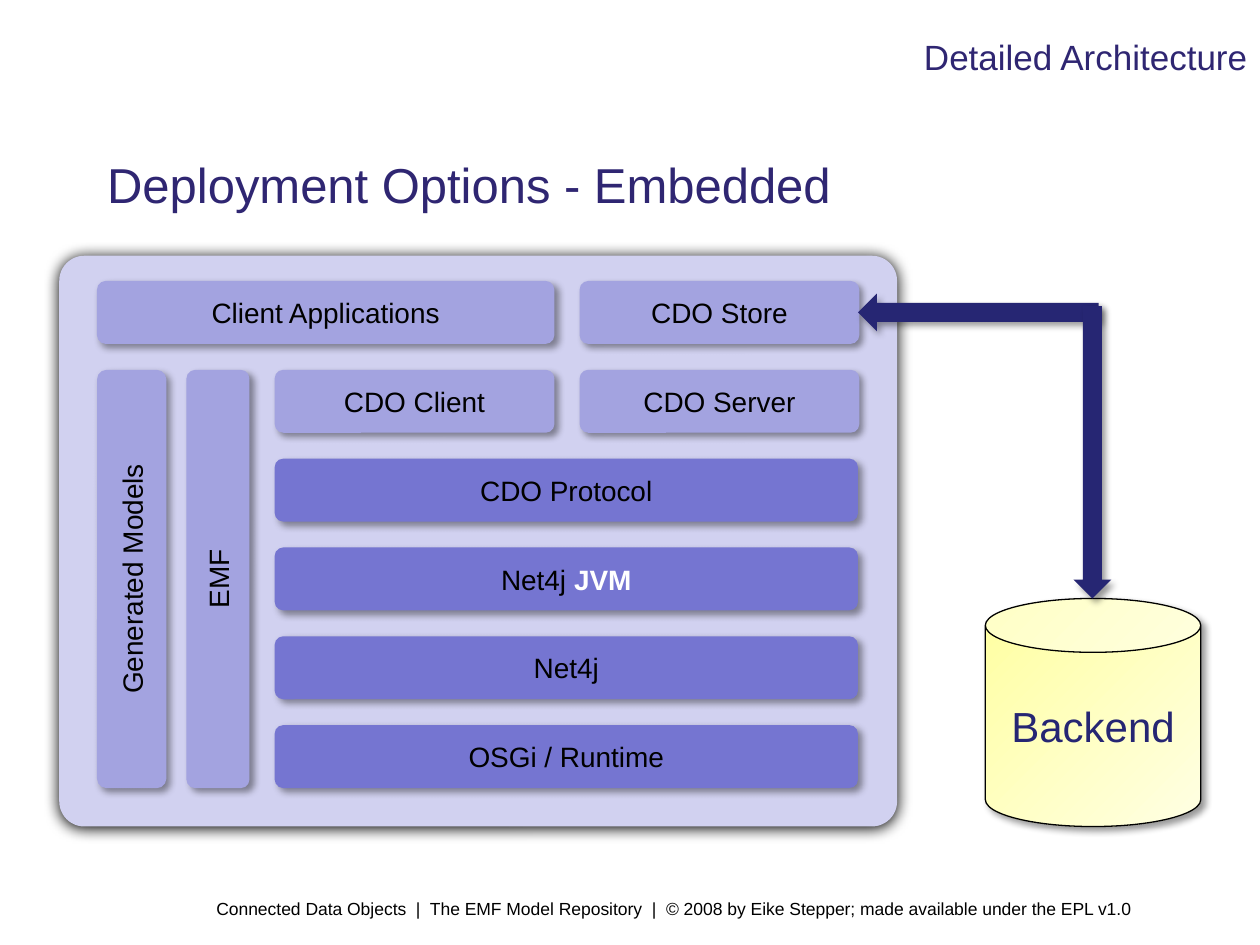
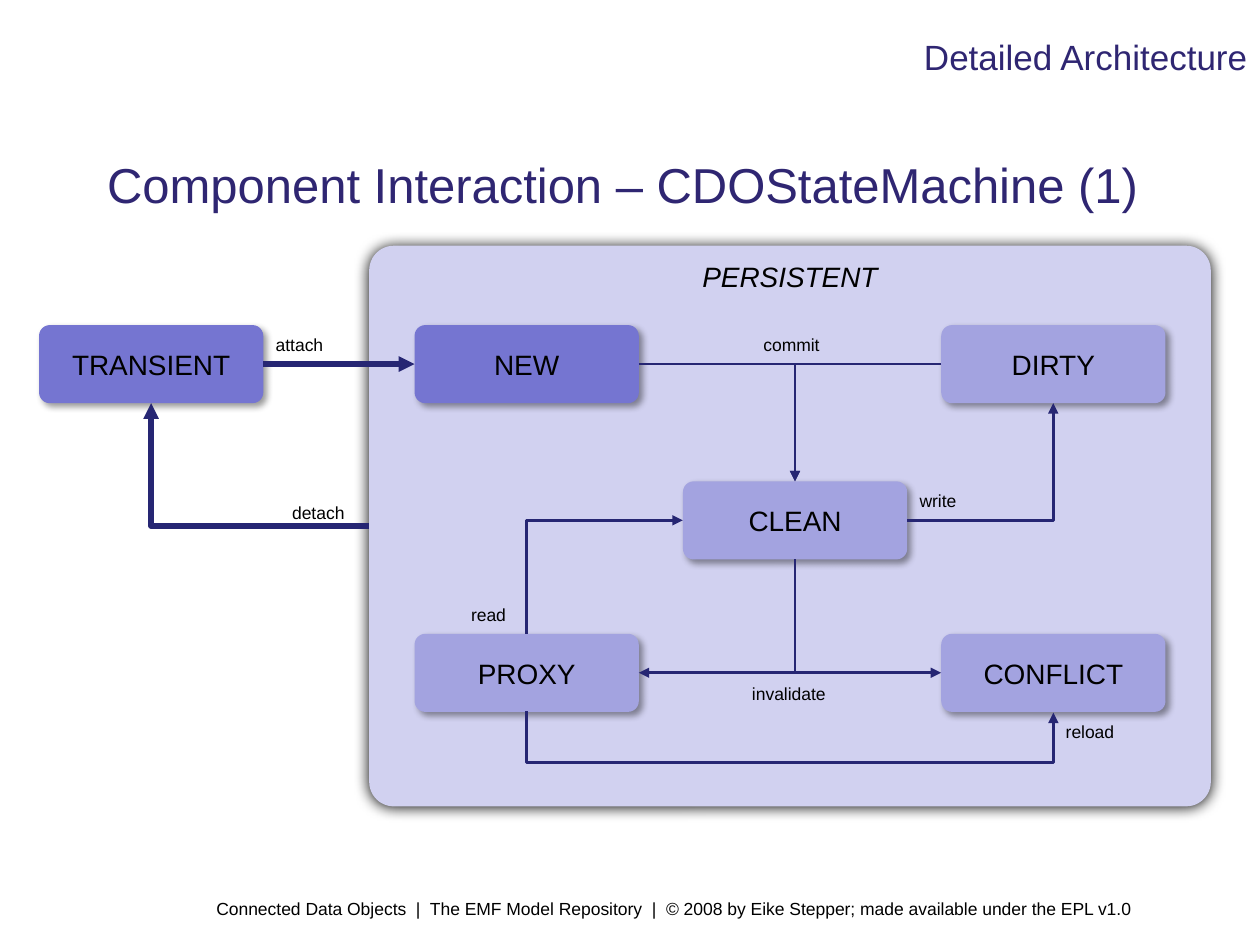
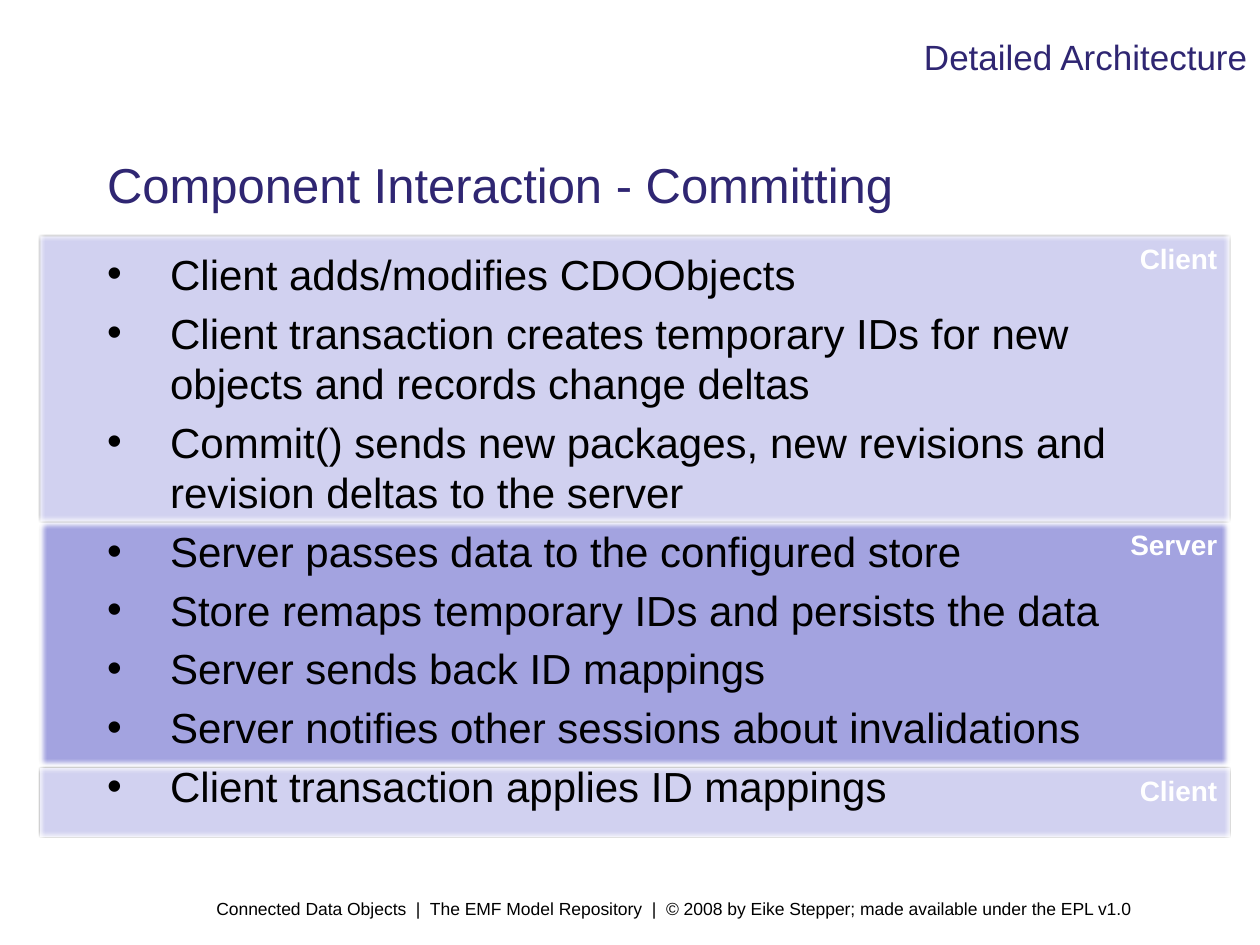
"""Build three slides on deployment, object states and committing."""
from lxml.etree import SubElement
from pptx import Presentation
from pptx.dml.color import RGBColor
from pptx.enum.shapes import MSO_CONNECTOR, MSO_SHAPE
from pptx.enum.text import MSO_ANCHOR, MSO_AUTO_SIZE, PP_ALIGN
from pptx.oxml import parse_xml
from pptx.oxml.ns import nsdecls, qn
from pptx.util import Inches, Pt

COLORS = {
    "title": "2F2672", "arrow": "262673", "text": "000000", "white": "FFFFFF",
    "panel": "D1D1F0", "light": "A3A3E0", "strong": "7575D1",
    "can_start": "FFFFA0", "can_end": "FFFFE3",
}
SHADOW = ('<a:outerShdw %s blurRad="{}" dist="{}" dir="{}" algn="tl" rotWithShape="0">'
          '<a:srgbClr val="000000"><a:alpha val="{}"/></a:srgbClr></a:outerShdw>' % nsdecls("a"))
EFFECTS = {
    "panel": SHADOW.format(Pt(8.5), Pt(1), 5400000, 100000),
    "block": SHADOW.format(Pt(4), Pt(3), 2700000, 40000),
    "soft": '<a:softEdge %s rad="%d"/>' % (nsdecls("a"), Pt(2.5)),
}
FOOTER = (" Connected Data Objects  |  The EMF Model Repository  |  "
          "© 2008 by Eike Stepper; made available under the EPL v1.0")


def write(shape, text, size=16, color="text", align=PP_ALIGN.CENTER, anchor=MSO_ANCHOR.MIDDLE,
          bold=None, italic=None, wrap=True):
    """Set the text of a shape and format all of its runs."""
    frame = shape.text_frame
    frame.text = text
    frame.word_wrap = wrap
    frame.auto_size = MSO_AUTO_SIZE.NONE
    frame.vertical_anchor = anchor
    for para in frame.paragraphs:
        para.alignment = align
        for span in para.runs:
            span.font.name = "Arial"
            span.font.size = Pt(size)
            span.font.bold = bold
            span.font.italic = italic
            span.font.color.rgb = RGBColor.from_string(COLORS[color])


def add_block(slide, kind, left, top, width, height, fill, effect="block", rounding=0.138):
    """Add a filled shape without outline and with one effect."""
    box = slide.shapes.add_shape(kind, Inches(left), Inches(top), Inches(width), Inches(height))
    if kind == MSO_SHAPE.ROUNDED_RECTANGLE:
        box.adjustments[0] = rounding
    box.fill.solid()
    box.fill.fore_color.rgb = RGBColor.from_string(COLORS[fill])
    box.line.fill.background()
    box.shadow.inherit = False
    box._element.spPr.find(qn("a:effectLst")).append(parse_xml(EFFECTS[effect]))
    return box


deck = Presentation()
deck.slide_width, deck.slide_height = Inches(10), Inches(7.5)
ROUNDED = MSO_SHAPE.ROUNDED_RECTANGLE

slides = []
for heading, layout in [("Deployment Options - Embedded", 5),
                        ("Component Interaction – CDOStateMachine (1)", 5),
                        ("Component Interaction - Committing", 1)]:
    slide = deck.slides.add_slide(deck.slide_layouts[layout])
    title = slide.shapes.title
    title.left, title.top, title.width, title.height = map(Inches, (0.75, 1.17, 8.5, 0.58))
    write(title, heading, 28, "title", PP_ALIGN.LEFT)
    chapter = slide.shapes.add_textbox(*map(Inches, (3.83, 0.16, 6.17, 0.58)))
    write(chapter, "Detailed Architecture", 20, "title", PP_ALIGN.RIGHT)
    footer = slide.shapes.add_textbox(*map(Inches, (1.58, 7.08, 8.42, 0.27)))
    write(footer, FOOTER, 10, align=PP_ALIGN.LEFT, anchor=MSO_ANCHOR.TOP)
    slides.append(slide)
deployment, states, committing = slides

add_block(deployment, ROUNDED, 0.47, 2.03, 6.65, 4.53, "panel", "panel", 0.044)
FIRST_ROW, ROW_STEP, ROW_HEIGHT = 2.23, 0.705, 0.5
MODELS, EMF, CLIENT, SERVER = 0.77, 1.48, 2.18, 4.6
HALF, FULL = 2.22, 4.63
layers = [
    ("Client Applications", MODELS, 0, 3.63, "light"),
    ("CDO Store", SERVER, 0, HALF, "light"),
    ("CDO Client", CLIENT, 1, HALF, "light"),
    ("CDO Server", SERVER, 1, HALF, "light"),
    ("CDO Protocol", CLIENT, 2, FULL, "strong"),
    ("Net4j ", CLIENT, 3, FULL, "strong"),
    ("Net4j", CLIENT, 4, FULL, "strong"),
    ("OSGi / Runtime", CLIENT, 5, FULL, "strong"),
]
for name, left, row, width, fill in layers:
    box = add_block(deployment, ROUNDED, left, FIRST_ROW + row * ROW_STEP, width, ROW_HEIGHT, fill)
    write(box, name)
    if name == "Net4j ":
        span = box.text_frame.paragraphs[0].add_run()
        span.text = "JVM"
        span.font.name, span.font.size, span.font.bold = "Arial", Pt(16), True
        span.font.color.rgb = RGBColor.from_string(COLORS["white"])

column_top = FIRST_ROW + ROW_STEP
column_height = 4 * ROW_STEP + ROW_HEIGHT
for name, left, width in [("Generated Models", MODELS, 0.55), ("EMF", EMF, 0.5)]:
    shift = (column_height - width) / 2
    box = add_block(deployment, ROUNDED, left - shift, column_top + shift, column_height, width, "light")
    box.rotation = 270
    write(box, name)

backend = add_block(deployment, MSO_SHAPE.CAN, 7.82, 4.75, 1.71, 1.81, "can_start")
backend.fill.gradient()
backend.fill.gradient_angle = 315
for stop, color in zip(backend.fill.gradient_stops, ("can_start", "can_end")):
    stop.color.rgb = RGBColor.from_string(COLORS[color])
backend.line.color.rgb = RGBColor.from_string(COLORS["text"])
backend.line.width = Pt(0.75)
write(backend, "Backend", 24, "arrow")
add_block(deployment, MSO_SHAPE.LEFT_ARROW, 6.81, 2.33, 1.91, 0.3, "arrow")
add_block(deployment, MSO_SHAPE.DOWN_ARROW, 8.52, 2.43, 0.3, 2.32, "arrow")

panel = add_block(states, ROUNDED, 2.93, 1.95, 6.68, 4.45, "panel", "panel", 0.044)
write(panel, "PERSISTENT", anchor=MSO_ANCHOR.TOP, italic=True)
boxes = {"PERSISTENT": panel}
for name, left, top, fill in [("TRANSIENT", 0.31, 2.58, "strong"), ("NEW", 3.29, 2.58, "strong"),
                              ("DIRTY", 7.47, 2.58, "light"), ("CLEAN", 5.42, 3.82, "light"),
                              ("PROXY", 3.29, 5.03, "light"), ("CONFLICT", 7.47, 5.03, "light")]:
    boxes[name] = add_block(states, ROUNDED, left, top, 1.78, 0.62, fill)
    write(boxes[name], name)

TOP, LEFT, BOTTOM, RIGHT = range(4)
transitions = [
    ("TRANSIENT", RIGHT, "NEW", LEFT, "line", "tailEnd", 3),
    ("NEW", RIGHT, "CLEAN", TOP, "bentConnector2", "tailEnd", 1.5),
    ("DIRTY", LEFT, "CLEAN", TOP, "bentConnector2", "tailEnd", 1.5),
    ("CLEAN", RIGHT, "DIRTY", BOTTOM, "bentConnector2", "tailEnd", 1.5),
    ("CONFLICT", LEFT, "CLEAN", BOTTOM, "bentConnector2", "headEnd", 1.5),
    ("PROXY", RIGHT, "CLEAN", BOTTOM, "bentConnector2", "headEnd", 1.5),
    ("CLEAN", LEFT, "PROXY", TOP, "bentConnector2", "headEnd", 1.5),
    ("PERSISTENT", LEFT, "TRANSIENT", BOTTOM, "bentConnector2", "tailEnd", 3),
    ("CONFLICT", BOTTOM, "PROXY", BOTTOM, "bentConnector3", "tailEnd", 1.5),
]
for source, source_side, target, target_side, outline, arrow_end, weight in transitions:
    kind = MSO_CONNECTOR.STRAIGHT if outline == "line" else MSO_CONNECTOR.ELBOW
    connector = states.shapes.add_connector(kind, 0, 0, 0, 0)
    connector.begin_connect(boxes[source], source_side)
    connector.end_connect(boxes[target], target_side)
    connector.line.color.rgb = RGBColor.from_string(COLORS["arrow"])
    connector.line.width = Pt(weight)
    properties = connector._element.spPr
    SubElement(properties.find(qn("a:ln")), qn("a:" + arrow_end), type="triangle")
    SubElement(properties, qn("a:effectLst"))
    geometry = properties.find(qn("a:prstGeom"))
    geometry.set("prst", outline)
    if outline == "bentConnector3":
        depth, span_width = Inches(0.01), connector.width
        connector.left += (span_width - depth) // 2
        connector.top -= span_width // 2
        connector.width, connector.height = depth, span_width
        frame = properties.find(qn("a:xfrm"))
        frame.attrib.pop("flipH", None)
        frame.set("rot", "5400000")
        SubElement(geometry.find(qn("a:avLst")), qn("a:gd"), name="adj1", fmla="val 4100000")

for name, left, top, width in [("attach", 2.09, 2.58, 0.66), ("detach", 2.22, 3.91, 0.71),
                               ("commit", 5.96, 2.58, 0.75), ("write", 7.2, 3.82, 0.57),
                               ("read", 3.64, 4.72, 0.55), ("invalidate", 5.87, 5.35, 0.9),
                               ("reload", 8.36, 5.65, 0.67)]:
    label = states.shapes.add_textbox(Inches(left), Inches(top), Inches(width), Inches(0.31))
    write(label, name, 10, align=PP_ALIGN.LEFT, wrap=False)

band_top = 1.87
for position, (name, height, fill) in enumerate([("Client", 2.27, "panel"), ("Server", 1.95, "light"),
                                                 ("Client", 0.55, "panel")]):
    band = add_block(committing, MSO_SHAPE.RECTANGLE, 0.31, band_top, 9.45, height, fill, "soft")
    band.line.color.rgb = RGBColor.from_string(COLORS["text"])
    band.line.width = Pt(0.75)
    write(band, name, 16, "white", PP_ALIGN.RIGHT, MSO_ANCHOR.TOP, bold=True)
    committing.shapes._spTree.insert(2 + position, band._element)
    band_top += height

steps = [
    "Client adds/modifies CDOObjects",
    "Client transaction creates temporary IDs for new objects and records change deltas",
    "Commit() sends new packages, new revisions and revision deltas to the server",
    "Server passes data to the configured store",
    "Store remaps temporary IDs and persists the data",
    "Server sends back ID mappings",
    "Server notifies other sessions about invalidations",
    "Client transaction applies ID mappings",
]
body = committing.placeholders[1]
body.left, body.top, body.width, body.height = map(Inches, (0.75, 1.92, 8.16, 4.75))
write(body, "\n".join(steps), 24, align=PP_ALIGN.LEFT, anchor=MSO_ANCHOR.TOP)
for para in body.text_frame.paragraphs:
    settings = para._p.get_or_add_pPr()
    settings.set("marL", str(Inches(0.5)))
    settings.set("indent", str(-Inches(0.5)))

deck.save("out.pptx")
